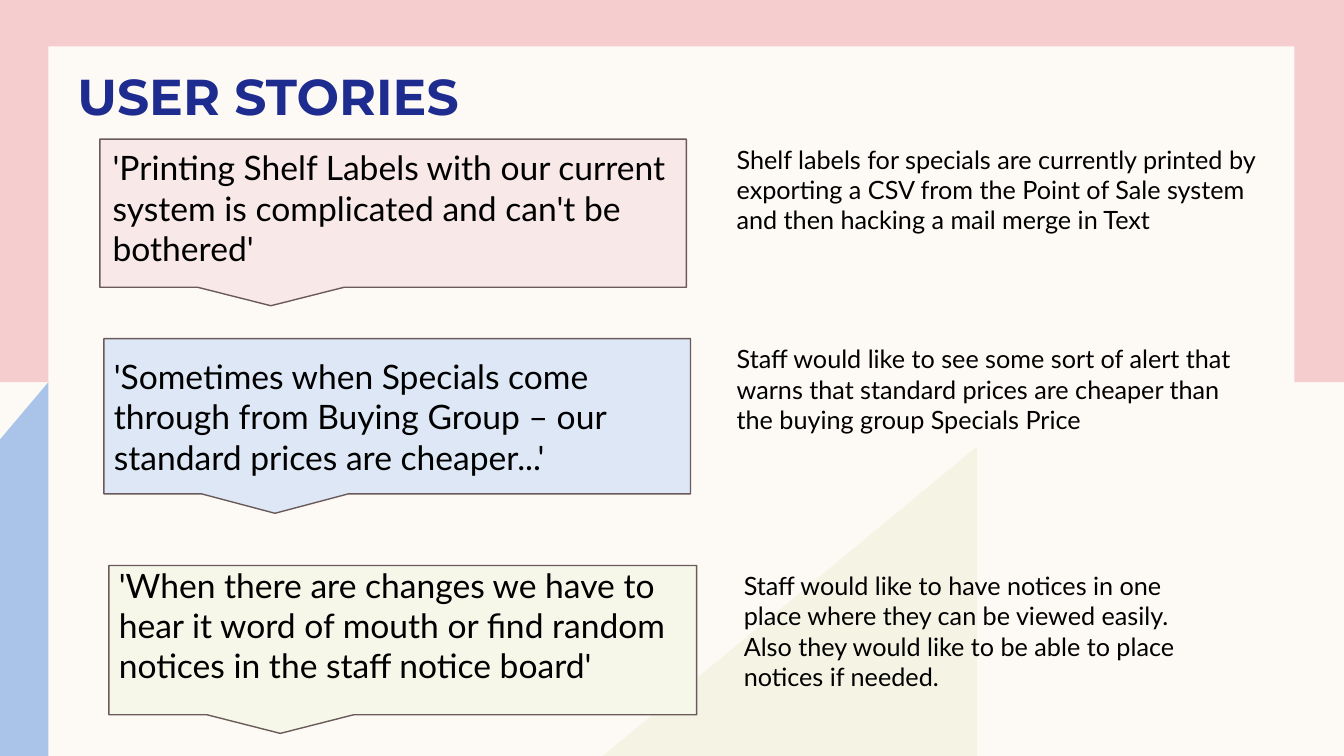
from dataclasses import dataclass

from lxml import etree
from pptx import Presentation
from pptx.dml.color import RGBColor
from pptx.enum.shapes import MSO_SHAPE
from pptx.enum.text import MSO_ANCHOR, PP_ALIGN
from pptx.oxml.ns import qn
from pptx.shapes.autoshape import Shape
from pptx.slide import Slide
from pptx.util import Pt

RECT = MSO_SHAPE.RECTANGLE
CALLOUT = MSO_SHAPE.RECTANGULAR_CALLOUT
TOP, MIDDLE, BOTTOM = MSO_ANCHOR.TOP, MSO_ANCHOR.MIDDLE, MSO_ANCHOR.BOTTOM
LEFT = PP_ALIGN.LEFT

CREAM = RGBColor(0xFD, 0xFA, 0xF6)
PINK = RGBColor(0xF5, 0xCD, 0xCE)
BLUE = RGBColor(0xAA, 0xC3, 0xE8)
OLIVE = RGBColor(0xED, 0xEE, 0xD3)
ROSE = RGBColor(0xF8, 0xE8, 0xE8)
SKY = RGBColor(0xDD, 0xE7, 0xF6)
LIME = RGBColor(0xF6, 0xF7, 0xE9)
BROWN = RGBColor(0x6B, 0x5A, 0x5A)
NAVY = RGBColor(0x1F, 0x2C, 0x8F)
BLACK = RGBColor(0, 0, 0)

WIDE, HIGH = 960, 540
PAD, EDGE = 7.2, 3.6

Point = tuple[float, float]


@dataclass
class Box:
    x: float
    y: float
    w: float
    h: float


@dataclass
class Style:
    size: float
    color: RGBColor = BLACK
    font: str = "Lato"
    bold: bool = False
    anchor: MSO_ANCHOR = TOP
    top: float = EDGE
    foot: float = EDGE


@dataclass
class Bubble:
    box: Box
    fill: RGBColor
    quote: str = ""
    foot: float = EDGE


@dataclass
class Label:
    box: Box
    text: str
    style: Style


TITLE = Style(36, NAVY, "Montserrat", True, BOTTOM, 0, 0)
QUOTE = Style(24, top=0, foot=0)
NOTE = Style(18)

BUBBLES = [
    Bubble(Box(71.3, 99.4, 419, 105.8), ROSE),
    Bubble(Box(74.2, 241.9, 419, 110.9), SKY,
           "'Sometimes when Specials come through from Buying Group – our "
           "standard prices are cheaper...'"),
    Bubble(Box(77.8, 403.9, 419.8, 106.6), LIME,
           "'When there are changes we have to hear it word of mouth or find "
           "random notices in the staff notice board'", 25.2),
]

LABELS = [
    Label(Box(48.2, 41.8, 414, 48.2), "USER STORIES", TITLE),
    Label(Box(73.4, 105.1, 414, 100.8),
          "'Printing Shelf Labels with our current system is complicated and "
          "can't be bothered'", QUOTE),
    Label(Box(519.1, 99.4, 391.7, 72.7),
          "Shelf labels for specials are currently printed by exporting a CSV "
          "from the Point of Sale system and then hacking a mail merge in Text",
          NOTE),
    Label(Box(519.1, 241.9, 370.8, 72.7),
          "Staff would like to see some sort of alert that warns that standard "
          "prices are cheaper than the buying group Specials Price", NOTE),
    Label(Box(524.2, 403.9, 348.5, 116.6),
          "Staff would like to have notices in one place where they can be "
          "viewed easily. Also they would like to be able to place notices if "
          "needed.", NOTE),
]


def place(box: Box) -> tuple[Pt, Pt, Pt, Pt]:
    return Pt(box.x), Pt(box.y), Pt(box.w), Pt(box.h)


def paint(shape: Shape, fill: RGBColor) -> None:
    """Give a shape a plain fill with no line or shadow."""
    shape.shadow.inherit = False
    shape.fill.solid()
    shape.fill.fore_color.rgb = fill
    shape.line.fill.background()


def fade(shape: Shape, part: int) -> None:
    """Set the opacity of a solid fill, in percent."""
    color = shape.fill._xPr.find(qn("a:solidFill"))[0]
    etree.SubElement(color, qn("a:alpha")).set("val", str(part * 1000))


def write(shape: Shape, text: str, style: Style) -> None:
    frame = shape.text_frame
    frame.word_wrap = True
    frame.vertical_anchor = style.anchor
    frame.margin_left = frame.margin_right = Pt(PAD)
    frame.margin_top, frame.margin_bottom = Pt(style.top), Pt(style.foot)
    frame.text = text
    line = frame.paragraphs[0]
    line.alignment = LEFT
    font = line.runs[0].font
    font.name, font.size, font.bold = style.font, Pt(style.size), style.bold
    font.color.rgb = style.color


def add_block(slide: Slide, box: Box, fill: RGBColor, kind: MSO_SHAPE = RECT) -> Shape:
    shape = slide.shapes.add_shape(kind, *place(box))
    paint(shape, fill)
    return shape


def add_facet(slide: Slide, points: list[Point], fill: RGBColor) -> Shape:
    """Draw a closed outline through the points."""
    first, *rest = [(Pt(x), Pt(y)) for x, y in points]
    pen = slide.shapes.build_freeform(*first)
    pen.add_line_segments(rest, close=True)
    shape = pen.convert_to_shape()
    paint(shape, fill)
    return shape


def add_bubble(slide: Slide, item: Bubble) -> None:
    shape = add_block(slide, item.box, item.fill, CALLOUT)
    shape.line.color.rgb = BROWN
    shape.line.width = Pt(1)
    if item.quote:
        write(shape, item.quote, Style(24, anchor=MIDDLE, foot=item.foot))


def add_label(slide: Slide, item: Label) -> None:
    write(slide.shapes.add_textbox(*place(item.box)), item.text, item.style)


def add_scene(slide: Slide) -> None:
    """Draw the frame and the corner facets behind the stories."""
    slide.background.fill.solid()
    slide.background.fill.fore_color.rgb = CREAM
    add_block(slide, Box(0, 0, WIDE, 272.9), PINK)
    add_block(slide, Box(34.6, 33.1, 890, 474.5), CREAM)
    peak = [(430.6, HIGH), (697.7, 319), (697.7, HIGH)]
    fade(add_facet(slide, peak, OLIVE), 50)
    side = [(34.6, 272.9), (34.6, HIGH), (0, HIGH), (0, 313.9)]
    add_facet(slide, side, BLUE)


def main() -> None:
    deck = Presentation()
    deck.slide_width, deck.slide_height = Pt(WIDE), Pt(HIGH)
    slide = deck.slides.add_slide(deck.slide_layouts[6])
    add_scene(slide)
    for item in BUBBLES:
        add_bubble(slide, item)
    for item in LABELS:
        add_label(slide, item)
    deck.save("out.pptx")


if __name__ == "__main__":
    main()
